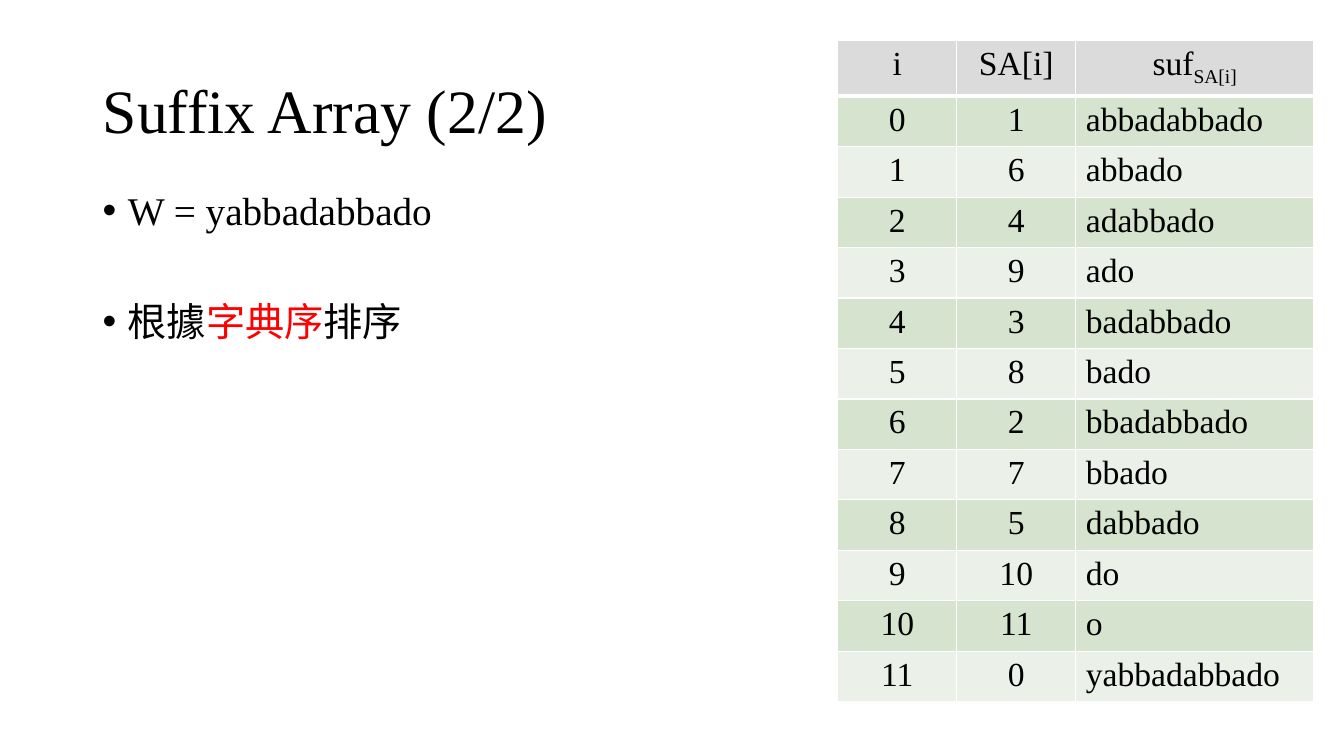
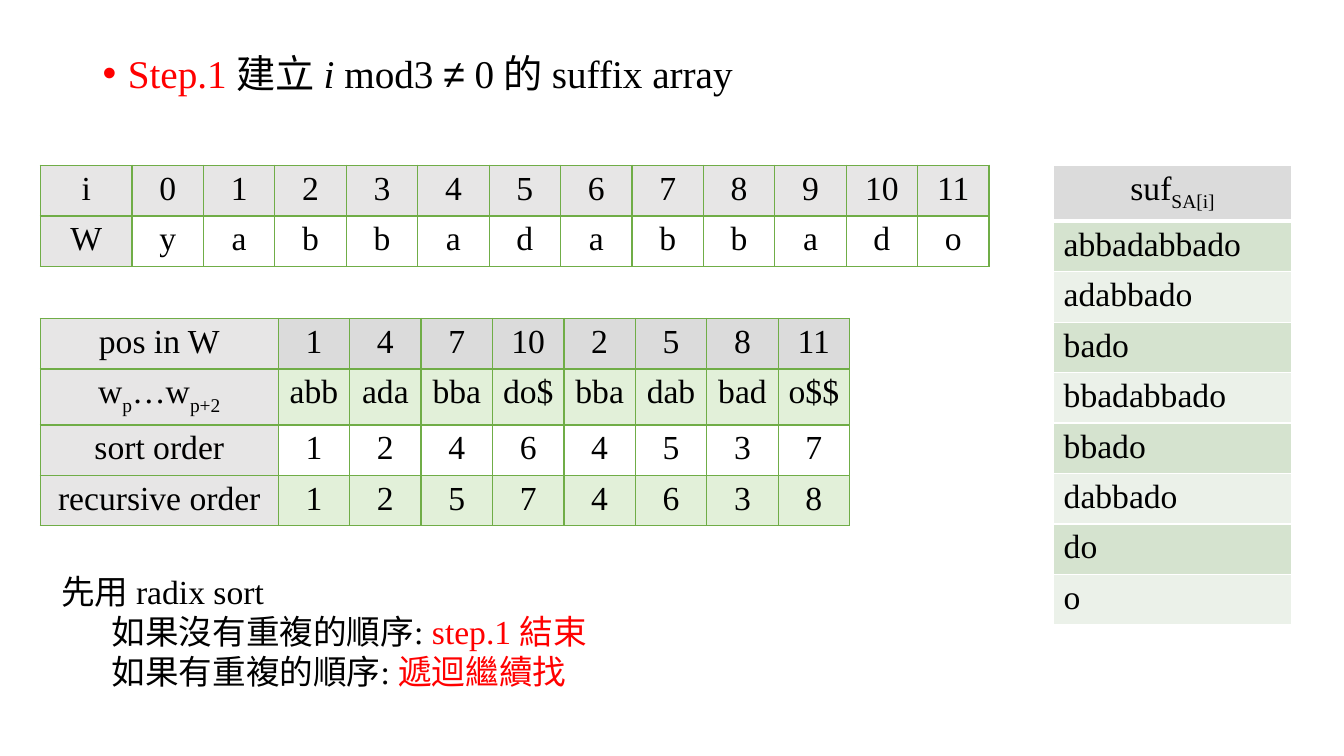
from dataclasses import dataclass

from lxml.etree import SubElement as Sub
from pptx import Presentation as Deck
from pptx.dml.color import RGBColor as Color
from pptx.enum.text import MSO_ANCHOR as Anchor, MSO_AUTO_SIZE as Fit, PP_ALIGN as Align
from pptx.oxml.ns import qn
from pptx.util import Inches, Pt


@dataclass(frozen=True)
class Theme:
    font: str = "Times New Roman"
    sans: str = "Arial"
    ink: str = "000000"
    red: str = "FF0000"
    white: str = "FFFFFF"
    green: str = "70AD47"
    head: str = "DBDBDB"
    label: str = "E7E6E6"
    dark: str = "D5E3CF"
    light: str = "EBF1E9"
    pale: str = "E2F0D9"
    title: int = 44
    body: int = 28
    small: int = 24
    row: float = 0.41
    slim: float = 0.31
    wide: float = 2.36
    unit: float = 8.5 / 12


LOOK = Theme()
WORD = "yabbadabbado"
RED = {"color": LOOK.red}
LOW = {"low": True}
SUF = [("suf", {}), ("SA[i]", LOW)]


def put(item, vals):
    for key, val in vals.items():
        setattr(item, key, val)


def write(para, runs, size, **form):
    put(para, form)
    for text, style in [(runs, {})] if isinstance(runs, str) else runs:
        run = para.add_run()
        run.text = text
        vals = {"name": LOOK.font, "size": Pt(size), **style}
        run.font.color.rgb = Color.from_string(vals.pop("color", LOOK.ink))
        if vals.pop("low", False):
            run._r.get_or_add_rPr().set("baseline", "-25000")
        put(run.font, vals)


def indent(para, left, hang=0):
    prop = para._p.get_or_add_pPr()
    prop.set("marL", str(Inches(left)))
    prop.set("indent", str(Inches(-hang)))
    return prop


def bullet(para):
    prop = indent(para, 0.25, 0.25)
    Sub(prop, qn("a:buFont")).set("typeface", LOOK.sans)
    Sub(prop, qn("a:buChar")).set("char", "•")


def frame(slide, *area):
    box = slide.shapes.add_textbox(*map(Inches, area))
    box.text_frame.word_wrap = True
    return box.text_frame


def lines(text, count):
    paras = text.paragraphs
    return [paras[0]] + [text.add_paragraph() for _ in range(count - 1)]


def points(slide, area, items, gap=0):
    text = frame(slide, *area)
    for num, (para, runs) in enumerate(zip(lines(text, len(items)), items)):
        bullet(para)
        write(para, runs, LOOK.body, line_spacing=0.9, space_before=Pt(gap if num else 0))


def heading(slide, text):
    shape = slide.shapes.title
    put(shape, dict(zip(("left", "top", "width", "height"), map(Inches, (0.92, 0.4, 11.5, 1.45)))))
    put(shape.text_frame, {"vertical_anchor": Anchor.MIDDLE, "auto_size": Fit.NONE})
    write(shape.text_frame.paragraphs[0], text, LOOK.title, alignment=Align.LEFT, line_spacing=0.9)


def edge(cell, color, top, low):
    prop = cell._tc.get_or_add_tcPr()
    for side, size in zip("LRTB", (1, 1, top, low)):
        line = Sub(prop, qn("a:ln" + side))
        line.set("w", str(Pt(size)))
        Sub(Sub(line, qn("a:solidFill")), qn("a:srgbClr")).set("val", color)


def grid(slide, left, top, cols, high, rows, line, rule, fill, align):
    size = (left, top, sum(cols), high * len(rows))
    table = slide.shapes.add_table(len(rows), len(cols), *map(Inches, size)).table
    put(table, {"first_row": False, "horz_banding": False})
    for col, width in zip(table.columns, cols):
        col.width = Inches(width)
    for r, row in enumerate(rows):
        for c, runs in enumerate(row):
            cell = table.cell(r, c)
            edge(cell, line, rule if r == 1 else 1, 1 if r else rule)
            tint = fill(r, c)
            if tint:
                cell.fill.solid()
                cell.fill.fore_color.rgb = Color.from_string(tint)
            else:
                cell.fill.background()
            write(cell.text_frame.paragraphs[0], runs, LOOK.small, alignment=align(r, c))


def ranks(slide, left, top, cols, rows):
    last = len(cols) - 1
    grid(slide, left, top, cols, LOOK.row, rows, LOOK.white, 3,
         lambda r, c: (LOOK.dark if r % 2 else LOOK.light) if r else LOOK.head,
         lambda r, c: Align.LEFT if r and c == last else Align.CENTER)


def steps(slide, top, first, rows, tints):
    cols = [first] + [LOOK.unit] * (len(rows[0]) - 1)
    grid(slide, 0.4, top, cols, LOOK.slim, rows, LOOK.green, 2,
         lambda r, c: tints[r] if c else LOOK.label,
         lambda r, c: Align.CENTER)


def order(slide, array):
    heading(slide, "Suffix Array (2/2)")
    points(slide, (0.92, 1.85, 7.2, 4.91),
           ["W = " + WORD,
            [("根據", {}), ("字典序", {"name": LOOK.sans, **RED}), ("排序", {})]], 49)
    rows = [(str(num), str(pos), WORD[pos:]) for num, pos in enumerate(array)]
    ranks(slide, 8.31, 0.4, [LOOK.wide / 2, LOOK.wide / 2, LOOK.wide], [("i", "SA[i]", SUF)] + rows)


def build(slide, array):
    points(slide, (0.92, 0.49, 11.5, 0.8),
           [[("Step.1 ", RED), ("建立 ", {}), ("i", {"italic": True}), (" mod3 ", {}),
             ("≠", {"name": LOOK.sans}), (" 0 的 suffix array", {})]])
    steps(slide, 1.64, 0.91,
          [["i", *map(str, range(len(WORD)))], ["W", *WORD]], [LOOK.label, None])

    part = [pos for pos in array if pos % 3]
    spots = sorted(part, key=lambda pos: (pos % 3, pos))
    trios = [(WORD + "$$")[pos:pos + 3] for pos in spots]
    kinds = sorted(set(trios))
    steps(slide, 3.16, LOOK.wide,
          [["pos in W", *map(str, spots)],
           [[("w", {}), ("p", LOW), ("…w", {}), ("p+2", LOW)], *trios],
           ["sort order", *(str(kinds.index(trio) + 1) for trio in trios)],
           ["recursive order", *(str(part.index(pos) + 1) for pos in spots)]],
          [LOOK.head, LOOK.pale, None, LOOK.pale])
    ranks(slide, 10.45, 1.64, [LOOK.wide], [[SUF]] + [[WORD[pos:]] for pos in part])

    notes = ["先用 radix sort",
             [("如果沒有重複的順序: ", {}), ("step.1 結束", RED)],
             [("如果有重複的順序: ", {}), ("遞迴繼續找", RED)]]
    text = frame(slide, 0.51, 5.61, 6.69, 1.31)
    for num, (para, runs) in enumerate(zip(lines(text, len(notes)), notes)):
        indent(para, 0.5 if num else 0)
        write(para, runs, LOOK.small)


def main():
    deck = Deck()
    put(deck, {"slide_width": Inches(13.33), "slide_height": Inches(7.5)})
    array = sorted(range(len(WORD)), key=lambda pos: WORD[pos:])
    for draw, kind in ((order, 5), (build, 6)):
        draw(deck.slides.add_slide(deck.slide_layouts[kind]), array)
    deck.save("out.pptx")


if __name__ == "__main__":
    main()
